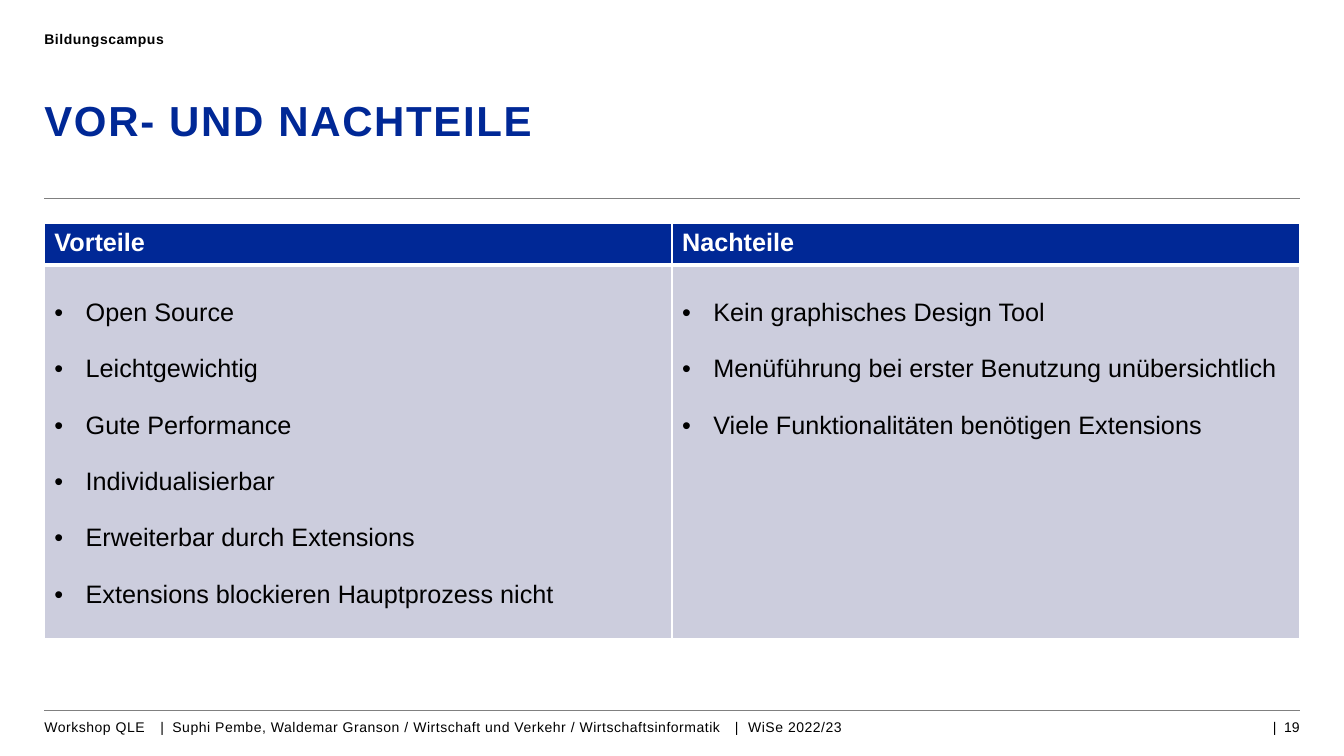
from lxml.etree import SubElement
from pptx import Presentation
from pptx.dml.color import RGBColor
from pptx.enum.shapes import MSO_CONNECTOR as CONN
from pptx.enum.text import PP_ALIGN as ALIGN
from pptx.oxml import parse_xml
from pptx.oxml.ns import nsdecls, qn
from pptx.util import Inches, Pt

W, H = 13.33, 7.5
LEFT, WIDTH = 0.44, 12.45
RIGHT = LEFT + WIDTH
BLUE, GREY, PALE, BLACK, WHITE = "002896", "808080", "CCCDDD", "000000", "FFFFFF"
PROS_AND_CONS = {
    "Vorteile": ["Open Source", "Leichtgewichtig", "Gute Performance", "Individualisierbar",
                 "Erweiterbar durch Extensions", "Extensions blockieren Hauptprozess nicht"],
    "Nachteile": ["Kein graphisches Design Tool",
                  "Menüführung bei erster Benutzung unübersichtlich",
                  "Viele Funktionalitäten benötigen Extensions"],
}


def color(value):
    return RGBColor.from_string(value)


def add_run(p, text, size, hex_color, bold=False, spacing=0):
    """Append a run; spacing is the letter spacing in points."""
    r = p.add_run()
    r.text = text
    for name, value in {"name": "Arial", "size": Pt(size), "bold": bold}.items():
        setattr(r.font, name, value)
    r.font.color.rgb = color(hex_color)
    if spacing:
        r._r.get_or_add_rPr().set("spc", str(round(spacing * 100)))


def add_text(s, box, text, size=10, hex_color=BLACK, bold=False, spacing=0.4,
             align=ALIGN.LEFT, line_spacing=1.0, tabs=()):
    tf = s.shapes.add_textbox(*map(Inches, box)).text_frame
    tf.word_wrap = True
    for side in ("left", "top", "right", "bottom"):
        setattr(tf, f"margin_{side}", 0)
    p = tf.paragraphs[0]
    p.alignment, p.line_spacing = align, line_spacing
    if tabs:
        tab_list = SubElement(p._p.get_or_add_pPr(), qn("a:tabLst"))
        for tab in tabs:
            SubElement(tab_list, qn("a:tab"), pos=str(Inches(tab)), algn="l")
    add_run(p, text, size, hex_color, bold, spacing)


def add_rule(s, y):
    line = s.shapes.add_connector(CONN.STRAIGHT, *map(Inches, (LEFT, y, RIGHT, y)))
    line.line.color.rgb = color(GREY)
    line.line.width = Pt(0.5)
    SubElement(line._element.spPr, qn("a:effectLst"))


def style_cell(cell, fill, top, bottom):
    """Fill the cell and draw white borders; top and bottom are widths in points."""
    tc_pr = cell._tc.get_or_add_tcPr()
    for side, width in {"L": 1, "R": 1, "T": top, "B": bottom}.items():
        tc_pr.append(parse_xml(
            f'<a:ln{side} {nsdecls("a")} w="{Pt(width)}"><a:solidFill>'
            f'<a:srgbClr val="{WHITE}"/></a:solidFill></a:ln{side}>'))
    cell.fill.solid()
    cell.fill.fore_color.rgb = color(fill)


def add_bullets(tf, items):
    for i, item in enumerate(items):
        p = tf.paragraphs[0] if i == 0 else tf.add_paragraph()
        p.line_spacing = 2.0
        p_pr = p._p.get_or_add_pPr()
        p_pr.set("marL", str(Inches(0.31)))
        p_pr.set("indent", str(-Inches(0.31)))
        SubElement(p_pr, qn("a:buFont"), typeface="Arial")
        SubElement(p_pr, qn("a:buChar"), char="•")
        add_run(p, item, 18, BLACK)


def add_comparison(s, box, columns, row_height=0.41):
    """One column per heading, bullets below; the lower row grows with its text."""
    frame = s.shapes.add_table(2, len(columns), *map(Inches, box))
    table = frame.table
    for row in table.rows:
        row.height = Inches(row_height)
    frame.height = Inches(box[3])
    for i, (heading, items) in enumerate(columns.items()):
        table.columns[i].width = Inches(box[2] / len(columns))
        head, body = table.cell(0, i), table.cell(1, i)
        style_cell(head, BLUE, 1, 3)
        style_cell(body, PALE, 3, 1)
        add_run(head.text_frame.paragraphs[0], heading, 18, WHITE, True)
        add_bullets(body.text_frame, items)


def add_header(s, y):
    add_text(s, (LEFT, y, 8.07, 0.24), "Bildungscampus", bold=True)
    add_text(s, (LEFT, y + 0.68, WIDTH, 0.94), "VOR- UND NACHTEILE", 30, BLUE, True, 1.2,
             line_spacing=0.94)
    add_rule(s, y + 1.67)


def add_footer(s, y):
    add_rule(s, y)
    add_text(s, (LEFT, y + 0.08, 8.07, 0.24),
             "Workshop QLE\t|\tSuphi Pembe, Waldemar Granson / Wirtschaft und Verkehr / "
             "Wirtschaftsinformatik\t|\tWiSe 2022/23", tabs=(1.15, 1.27, 6.85, 6.98))
    add_text(s, (RIGHT - 2.08, y + 0.08, 2.08, 0.24), "|  19", spacing=0, align=ALIGN.RIGHT)


def main():
    prs = Presentation()
    prs.slide_width, prs.slide_height = Inches(W), Inches(H)
    s = prs.slides.add_slide(prs.slide_layouts[6])
    add_header(s, 0.3)
    add_comparison(s, (LEFT, 2.22, WIDTH, 4.01), PROS_AND_CONS)
    add_footer(s, 7.05)
    prs.save("out.pptx")


if __name__ == "__main__":
    main()
